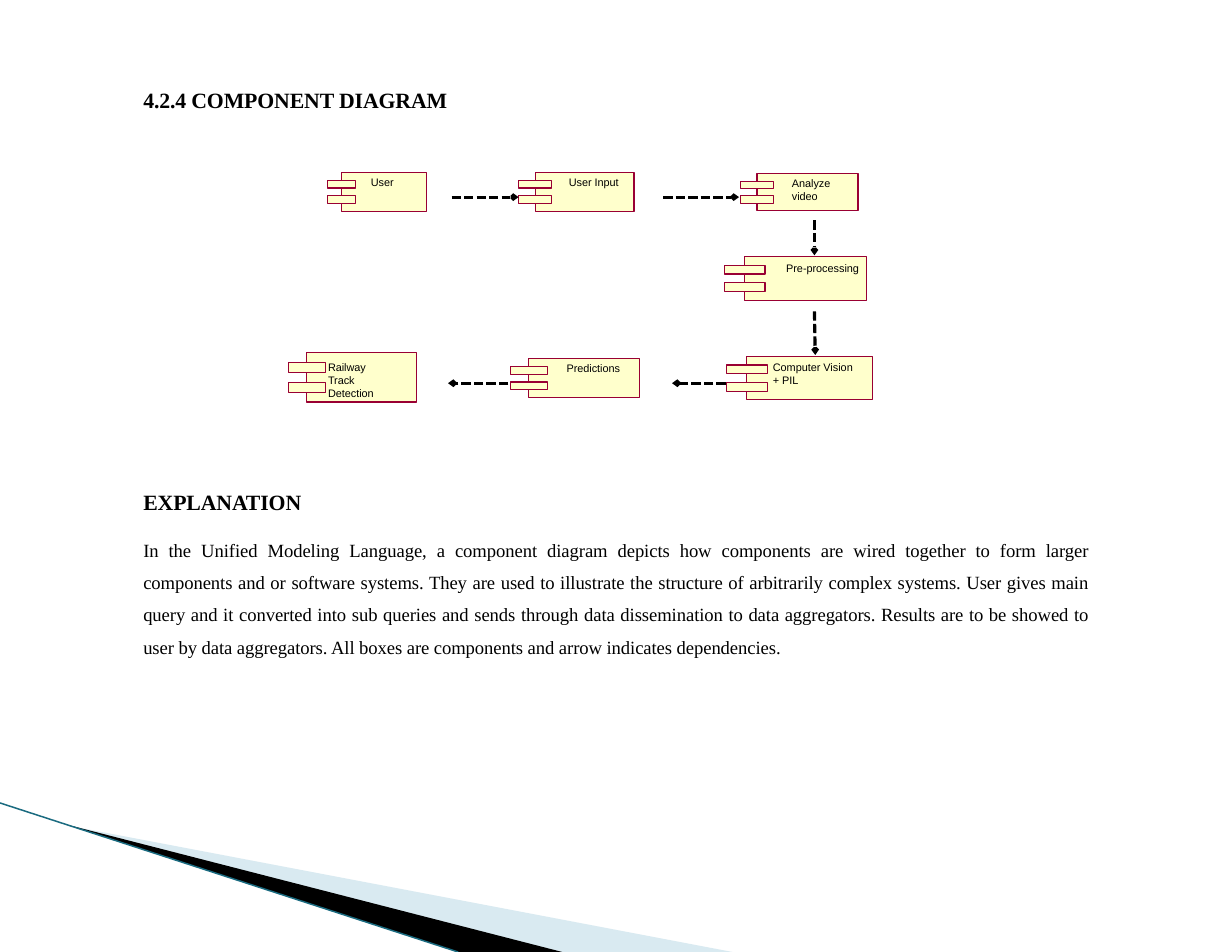
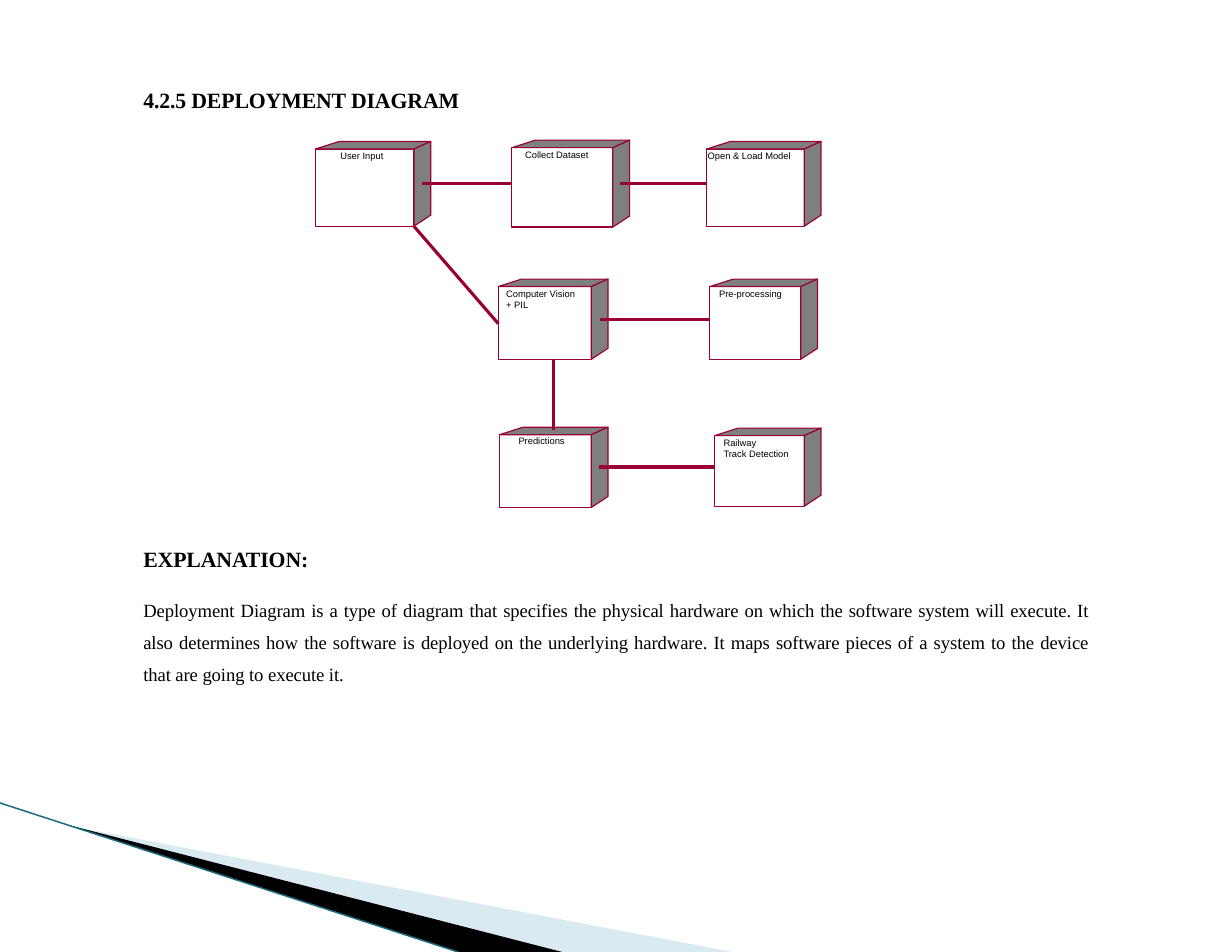
"""Build the component diagram and deployment diagram slides."""
import pptx
import pptx.dml.color
import pptx.enum.dml
import pptx.enum.shapes
import pptx.enum.text
import pptx.oxml.ns
import pptx.oxml.xmlchemy
import pptx.util

Cm = pptx.util.Cm
RGBColor = pptx.dml.color.RGBColor
ALIGN = pptx.enum.text.PP_ALIGN

BLACK = RGBColor(0x00, 0x00, 0x00)
CREAM = RGBColor(0xFF, 0xFF, 0xCC)
MAROON = RGBColor(0x99, 0x00, 0x33)
GREY = RGBColor(0x7F, 0x7F, 0x7F)
PALE_BLUE = RGBColor(0xA0, 0xCB, 0xDC)
TEAL = RGBColor(0x1A, 0x6B, 0x80)
SERIF = "Times New Roman"
SANS = "Arial"
MARGIN = 3.25

COMPONENTS = [
    ("User", (7.75, 3.91, 1.93, 0.89), (8.41, 3.99)),
    ("User Input", (12.14, 3.91, 2.24, 0.89), (12.9, 3.99)),
    ("Analyze\nvideo", (17.17, 3.94, 2.29, 0.84), (17.96, 4.01)),
    ("Pre-processing", (16.89, 5.82, 2.77, 0.99), (17.83, 5.94)),
    ("Computer Vision\n+ PIL", (16.94, 8.08, 2.84, 0.99), (17.53, 8.18)),
    ("Predictions", (11.99, 8.13, 2.51, 0.89), (12.85, 8.2)),
    ("Railway\nTrack\nDetection", (6.96, 8, 2.49, 1.12), (7.44, 8.18)),
]
DEPENDENCIES = [
    (10.24, 4.47, 11.76, 4.47), (15.04, 4.47, 16.76, 4.47),
    (18.47, 5, 18.47, 5.79), (18.47, 7.06, 18.49, 8.05),
    (16.46, 8.69, 15.24, 8.69), (11.53, 8.69, 10.16, 8.69),
]
NODES = [
    ("User Input", (7.16, 3.38, 2.23, 1.75), (7.72, 3.4)),
    ("Collect Dataset", (11.61, 3.35, 2.29, 1.8), (11.91, 3.38)),
    ("Open & Load Model", (16.03, 3.38, 2.21, 1.75), (16.05, 3.4)),
    ("Computer Vision\n+ PIL", (11.3, 6.5, 2.11, 1.65), (11.48, 6.53)),
    ("Pre-processing", (16.1, 6.5, 2.06, 1.65), (16.31, 6.53)),
    ("Predictions", (11.33, 9.86, 2.08, 1.65), (11.76, 9.88)),
    ("Railway\nTrack Detection", (16.21, 9.88, 2.03, 1.6), (16.41, 9.91)),
]
LINKS = [
    (9.58, 4.17, 11.61, 4.17), (14.07, 4.17, 16.03, 4.17),
    (9.37, 5.11, 11.3, 7.34), (16.1, 7.24, 13.61, 7.24),
    (12.55, 8.15, 12.55, 9.75), (16.21, 10.59, 13.59, 10.59),
]
COMPONENT_TEXT = (
    "In the Unified Modeling Language, a component diagram depicts how components "
    "are wired together to form larger components and or software systems. They are "
    "used to illustrate the structure of arbitrarily complex systems. User gives main "
    "query and it converted into sub queries and sends through data dissemination to "
    "data aggregators. Results are to be showed to user by data aggregators. All boxes "
    "are components and arrow indicates dependencies.")
DEPLOYMENT_TEXT = (
    "Deployment Diagram is a type of diagram that specifies the physical hardware on "
    "which the software system will execute. It also determines how the software is "
    "deployed on the underlying hardware. It maps software pieces of a system to the "
    "device that are going to execute it.")


def write(para, text, size=12, font=SERIF, bold=False, align=ALIGN.LEFT,
          spacing=1.0, before=0, tracking=0):
    """Fill one paragraph with text in the given format."""
    para.alignment = align
    para.line_spacing = spacing
    para.space_before = pptx.util.Pt(before)
    span = para.add_run()
    span.text = text
    span.font.size = pptx.util.Pt(size)
    span.font.name = font
    span.font.bold = bold
    span.font.color.rgb = BLACK
    if tracking:
        span.font._element.set("spc", str(tracking))


def element(tag, **attributes):
    """Make one XML element with attributes."""
    node = pptx.oxml.xmlchemy.OxmlElement(tag)
    for key, value in attributes.items():
        node.set(key, value)
    return node


class DiagramDeck:
    """Holds the shared style and the slide being drawn."""

    def __init__(self):
        self.deck = pptx.Presentation()
        self.deck.slide_width = Cm(27.94)
        self.deck.slide_height = Cm(21.59)
        self.page = None

    def start_page(self, title):
        """Add a slide with its title and corner band."""
        self.page = self.deck.slides.add_slide(self.deck.slide_layouts[5])
        box = self.page.shapes.title
        self.place(box, MARGIN, 1.9, 9.4, 0.64)
        frame = self.prepare_frame(box, top=0.06)
        write(frame.paragraphs[0], title, size=14, bold=True, tracking=-10)
        self.band()

    def place(self, box, left, top, width, height):
        """Set position and size."""
        box.left, box.top, box.width, box.height = map(Cm, (left, top, width, height))

    def prepare_frame(self, box, top=0.0):
        """Clear the margins of a text frame and return it."""
        frame = box.text_frame
        frame.word_wrap = True
        frame.auto_size = pptx.enum.text.MSO_AUTO_SIZE.NONE
        frame.vertical_anchor = pptx.enum.text.MSO_ANCHOR.TOP
        frame.margin_left = frame.margin_right = frame.margin_bottom = 0
        frame.margin_top = Cm(top)
        return frame

    def text_box(self, left, top, width, height, inset=0.0):
        """Add an empty text box and return its frame."""
        box = self.page.shapes.add_textbox(Cm(left), Cm(top), Cm(width), Cm(height))
        return self.prepare_frame(box, inset)

    def style(self, shape, fill=None, line=None):
        """Set fill and hairline outline."""
        shape.shadow.inherit = False
        if fill is None:
            shape.fill.background()
        else:
            shape.fill.solid()
            shape.fill.fore_color.rgb = fill
        if line is None:
            shape.line.fill.background()
        else:
            shape.line.color.rgb = line
            shape.line.width = 0

    def rectangle(self, left, top, width, height, fill=None):
        """Add an outlined rectangle."""
        shape = self.page.shapes.add_shape(
            pptx.enum.shapes.MSO_SHAPE.RECTANGLE,
            Cm(left), Cm(top), Cm(width), Cm(height))
        self.style(shape, fill, MAROON)

    def polygon(self, points, fill, line=None, opacity=None):
        """Add a closed outline through the points."""
        corners = [(Cm(x), Cm(y)) for x, y in points]
        builder = self.page.shapes.build_freeform(*corners[0])
        builder.add_line_segments(corners[1:], close=True)
        shape = builder.convert_to_shape()
        self.style(shape, fill, line)
        if opacity:
            color = shape._element.spPr.find(".//" + pptx.oxml.ns.qn("a:srgbClr"))
            color.append(element("a:alpha", val=str(opacity * 1000)))

    def line(self, ends, color, width=0.0, arrow=False):
        """Add a straight line, dashed with an open head when it is an arrow."""
        connector = self.page.shapes.add_connector(
            pptx.enum.shapes.MSO_CONNECTOR.STRAIGHT, *map(Cm, ends))
        connector.line.color.rgb = color
        connector.line.width = pptx.util.Pt(width)
        properties = connector._element.spPr
        if arrow:
            connector.line.dash_style = pptx.enum.dml.MSO_LINE.SQUARE_DOT
            properties.get_or_add_ln().append(
                element("a:tailEnd", type="arrow", w="sm", len="sm"))
        properties.append(element("a:effectLst"))

    def band(self):
        """Draw the corner band shared by all slides."""
        self.polygon([(1.52, 18.72), (16.61, 21.59), (12.73, 21.59)],
                     PALE_BLUE, opacity=40)
        self.polygon([(1.47, 18.69), (12.75, 21.59), (10.39, 21.59)], BLACK)
        self.line((0, 18.21, 10.39, 21.59), TEAL, width=0.95)

    def label(self, text, left, top, size):
        """Write a label, one paragraph for each line."""
        lines = text.split("\n")
        frame = self.text_box(left, top, 2.6, 0.3 * len(lines))
        for index, words in enumerate(lines):
            para = frame.add_paragraph() if index else frame.paragraphs[0]
            write(para, words, size=size, font=SANS)

    def component(self, text, body, label_at):
        """Draw a component box with two lugs on its left edge."""
        left, top, width, height = body
        self.rectangle(*body, fill=CREAM)
        for share in (0.2, 0.6):
            self.rectangle(left - width / 6, top + share * height,
                           width / 3, 0.2 * height, fill=CREAM)
        self.label(text, *label_at, size=7)

    def node(self, text, front, label_at):
        """Draw a cube from its front face."""
        left, top, width, height = front
        right = left + width
        back_top, back_right = top - 0.17, right + 0.38
        self.rectangle(*front)
        self.polygon([(left, top), (left + 0.53, back_top),
                      (back_right, back_top), (right, top)], GREY, MAROON)
        self.polygon([(right, top), (back_right, back_top),
                      (back_right, top + height - 0.25), (right, top + height)],
                     GREY, MAROON)
        self.label(text, *label_at, size=6)

    def explanation(self, heading, text, top, height, gap):
        """Write the heading and justified text under the diagram."""
        frame = self.text_box(MARGIN, top, 21.46, height, inset=0.06)
        write(frame.paragraphs[0], heading, size=14, bold=True, tracking=-10)
        write(frame.add_paragraph(), text, align=ALIGN.JUSTIFY,
              spacing=1.44, before=gap, tracking=-5)


def main():
    """Build and save both slides."""
    diagrams = DiagramDeck()

    diagrams.start_page("4.2.4 COMPONENT DIAGRAM")
    diagrams.explanation("EXPLANATION", COMPONENT_TEXT, 11.02, 3.91, 9.1)
    for component in COMPONENTS:
        diagrams.component(*component)
    for ends in DEPENDENCIES:
        diagrams.line(ends, BLACK, arrow=True)

    diagrams.start_page("4.2.5 DEPLOYMENT DIAGRAM")
    diagrams.explanation("EXPLANATION:", DEPLOYMENT_TEXT, 12.32, 3.25, 10.9)
    for node in NODES:
        diagrams.node(*node)
    for ends in LINKS:
        diagrams.line(ends, MAROON)

    diagrams.deck.save("out.pptx")


if __name__ == "__main__":
    main()
